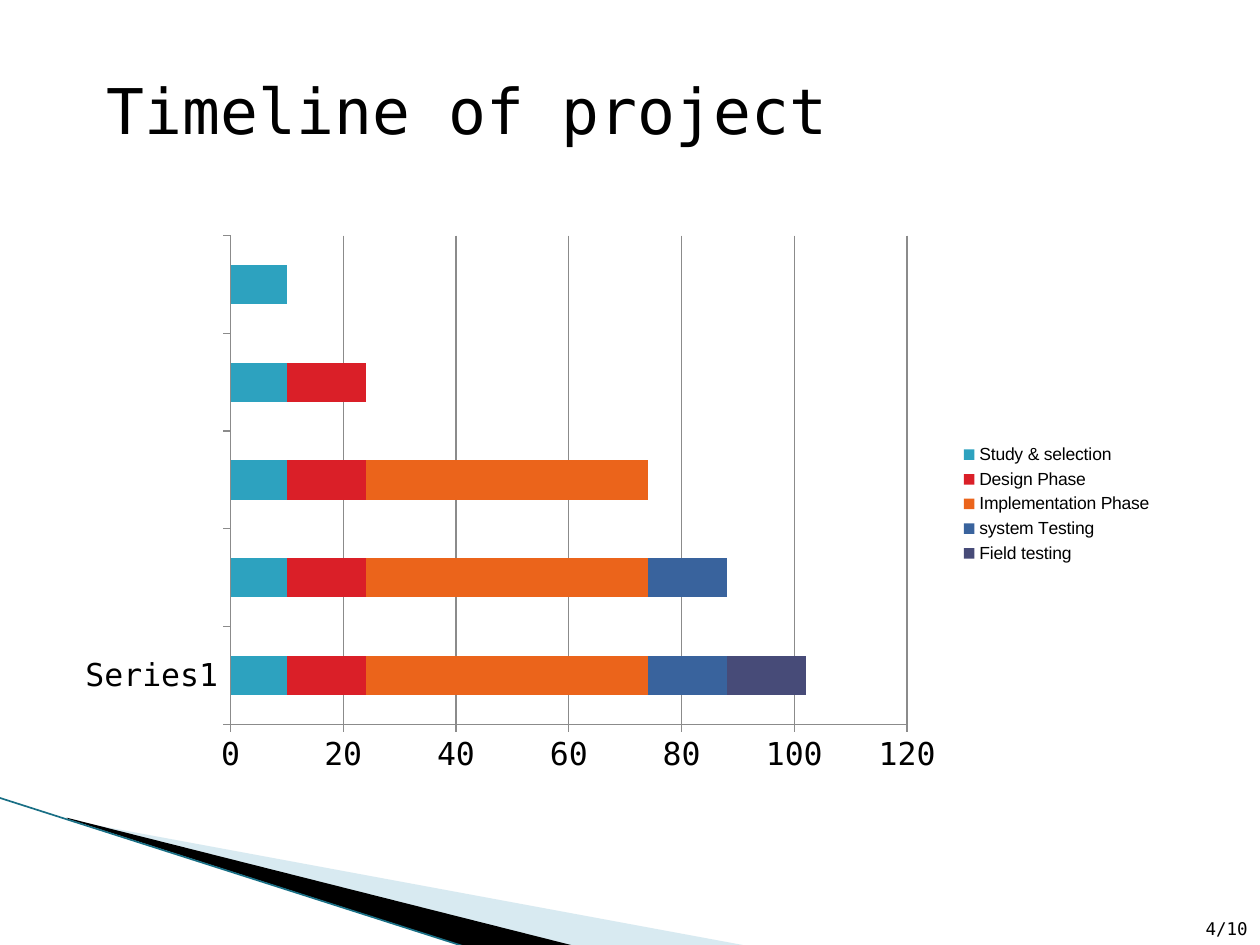
import pptx
import pptx.util
import pptx.chart.data
import pptx.dml.color
import pptx.enum.chart
import pptx.enum.shapes
import pptx.enum.text
import pptx.oxml
import pptx.oxml.ns
from pptx.util import Inches

MONO, SANS = "DejaVu Sans Mono", "Arial"
BLACK, GREY = "000000", "8B8B8B"
qn = pptx.oxml.ns.qn
NS = pptx.oxml.ns.nsdecls
make = pptx.oxml.parse_xml


def tint(color, code):
    color.rgb = pptx.dml.color.RGBColor.from_string(code)


def style(font, size, face=MONO, color=BLACK):
    font.size, font.name = pptx.util.Pt(size), face
    font.bold = False
    tint(font.color, color)


def write(frame, text, size=10, align="LEFT", anchor="TOP"):
    frame.word_wrap = True
    frame.vertical_anchor = getattr(pptx.enum.text.MSO_ANCHOR, anchor)
    para = frame.paragraphs[0]
    para.alignment = getattr(pptx.enum.text.PP_ALIGN, align)
    run = para.add_run()
    run.text = text
    style(run.font, size)


def stroke(line, color, width):
    line.fill.solid()
    tint(line.fill.fore_color, color)
    line.width = pptx.util.Pt(width)


class Deck:
    def __init__(self, width, height):
        self.file = pptx.Presentation()
        self.file.slide_width = Inches(width)
        self.file.slide_height = Inches(height)
        self.slide = self.file.slides.add_slide(self.file.slide_layouts[6])
        self.shapes = self.slide.shapes
        self.slide.background.fill.solid()
        tint(self.slide.background.fill.fore_color, "FFFFFF")

    def wedge(self, points, color, alpha=None):
        spots = [(Inches(x), Inches(y)) for x, y in points]
        pen = self.shapes.build_freeform(*spots[0])
        pen.add_line_segments(spots[1:], close=True)
        shape = pen.convert_to_shape()
        shape.shadow.inherit = False
        shape.line.fill.background()
        shape.fill.solid()
        tint(shape.fill.fore_color, color)
        if alpha:
            clr = shape._element.spPr.find(".//" + qn("a:srgbClr"))
            clr.append(make(f'<a:alpha {NS("a")} val="{alpha * 1000}"/>'))

    def line(self, start, end, color, width):
        kind = pptx.enum.shapes.MSO_CONNECTOR.STRAIGHT
        line = self.shapes.add_connector(kind, *map(Inches, start + end))
        stroke(line.line, color, width)
        line._element.spPr.append(make(f'<a:effectLst {NS("a")}/>'))

    def text(self, box, text, **form):
        write(self.shapes.add_textbox(*map(Inches, box)).text_frame, text, **form)

    def bars(self, box, cats, series, plot):
        data = pptx.chart.data.CategoryChartData()
        data.categories = cats
        for name, vals, _ in series:
            data.add_series(name, vals)
        kind = pptx.enum.chart.XL_CHART_TYPE.BAR_STACKED
        chart = self.shapes.add_chart(kind, *map(Inches, box), data).chart
        chart.has_title = False
        style(chart.font, 10, SANS)
        bars = chart.plots[0]
        bars.gap_width, bars.overlap = 150, 100
        bars.vary_by_categories = False
        for item, (_, _, color) in zip(bars.series, series):
            item.format.fill.solid()
            tint(item.format.fill.fore_color, color)

        # Axes
        for axis in (chart.category_axis, chart.value_axis):
            axis.major_tick_mark = pptx.enum.chart.XL_TICK_MARK.OUTSIDE
            axis.minor_tick_mark = pptx.enum.chart.XL_TICK_MARK.NONE
            style(axis.tick_labels.font, 18)
            stroke(axis.format.line, GREY, 0.74)
        axis = chart.value_axis
        axis.minimum_scale, axis.maximum_scale, axis.major_unit = 0, 120, 20
        axis.has_major_gridlines = True
        stroke(axis.major_gridlines.format.line, GREY, 0.74)

        # Legend
        chart.has_legend = True
        chart.legend.position = pptx.enum.chart.XL_LEGEND_POSITION.RIGHT
        chart.legend.include_in_layout = False
        style(chart.legend.font, 10, SANS)

        # Inner plot area as fractions of the chart
        left, top, width, height = box
        part = ((plot[0] - left) / width, (plot[1] - top) / height,
                plot[2] / width, plot[3] / height)
        spots = "".join(f'<c:{tag} val="{val:.4f}"/>' for tag, val in zip("xywh", part))
        area = chart._chartSpace.chart.plotArea
        for old in area.findall(qn("c:layout")):
            area.remove(old)
        area.insert(0, make(
            f'<c:layout {NS("c")}><c:manualLayout><c:layoutTarget val="inner"/>'
            f'<c:xMode val="edge"/><c:yMode val="edge"/>{spots}'
            '</c:manualLayout></c:layout>'))


deck = Deck(10, 7.5)

# Corner wedges
deck.wedge([(0.55, 6.51), (5.95, 7.51), (4.56, 7.51), (0.55, 6.5)], "9FCBDC", alpha=40)
deck.wedge([(0.53, 6.49), (4.57, 7.51), (3.72, 7.52), (0.54, 6.5)], BLACK)
deck.line((-0.01, 6.33), (3.71, 7.52), "196F85", 0.96)

# Page number
deck.text((7.43, 7.1, 2.57, 0.4), "4/10", align="RIGHT", anchor="BOTTOM")

# Timeline: each phase starts one row later from the top
phases = [("Study & selection", 10, "2DA2BF"),
          ("Design Phase", 14, "DA1F28"),
          ("Implementation Phase", 50, "EB641B"),
          ("system Testing", 14, "39639D"),
          ("Field testing", 14, "474B78")]
count = len(phases)
series = [(name, [days] * (count - i) + [0] * i, color)
          for i, (name, days, color) in enumerate(phases)]
deck.bars((0.51, 1.78, 8.74, 4.44), ["Series1"] + [""] * (count - 1), series,
          plot=(1.83, 1.87, 5.37, 3.88))

# Title
deck.text((0.75, 0.52, 6.14, 0.7), "Timeline of project", size=36)

deck.file.save("out.pptx")
